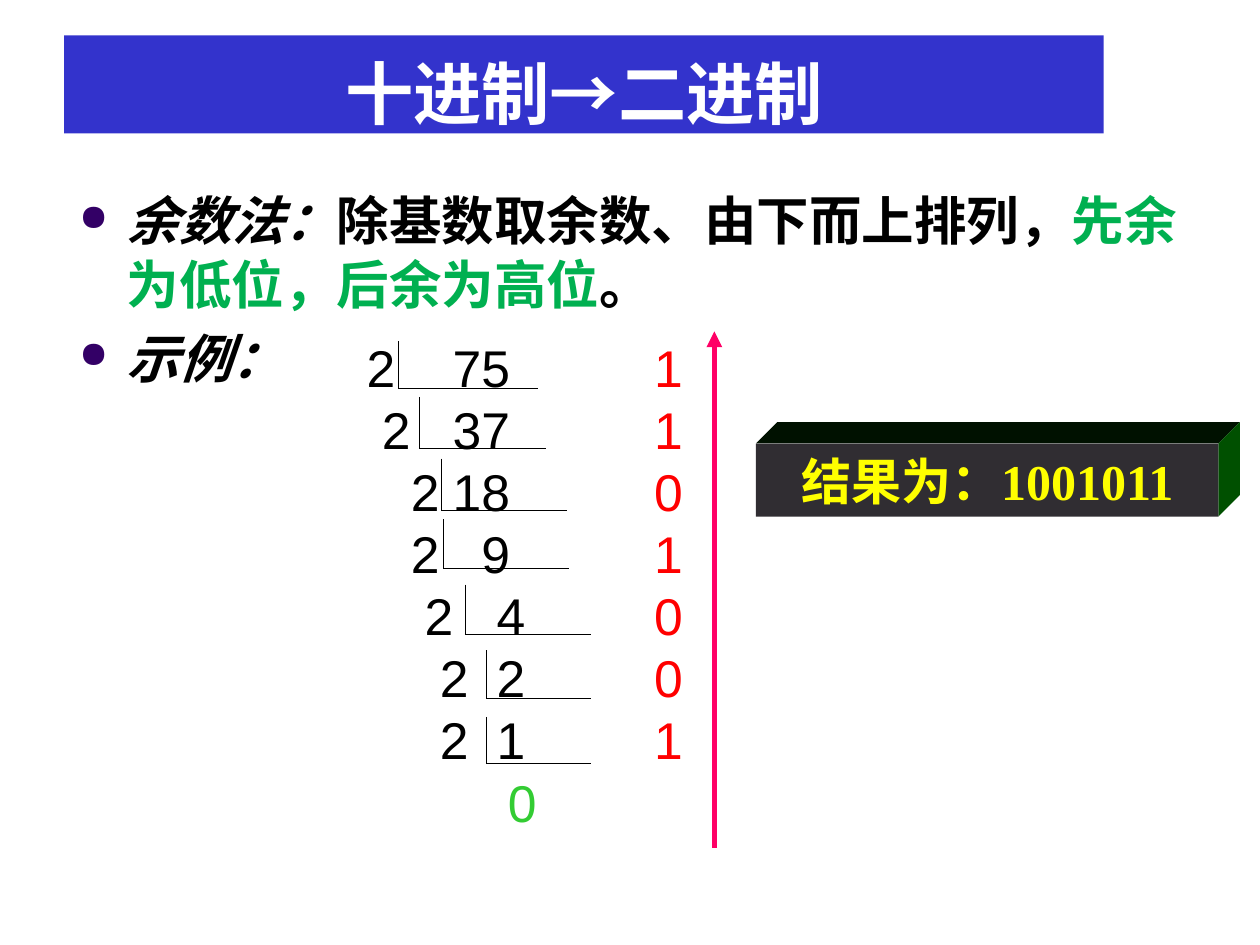
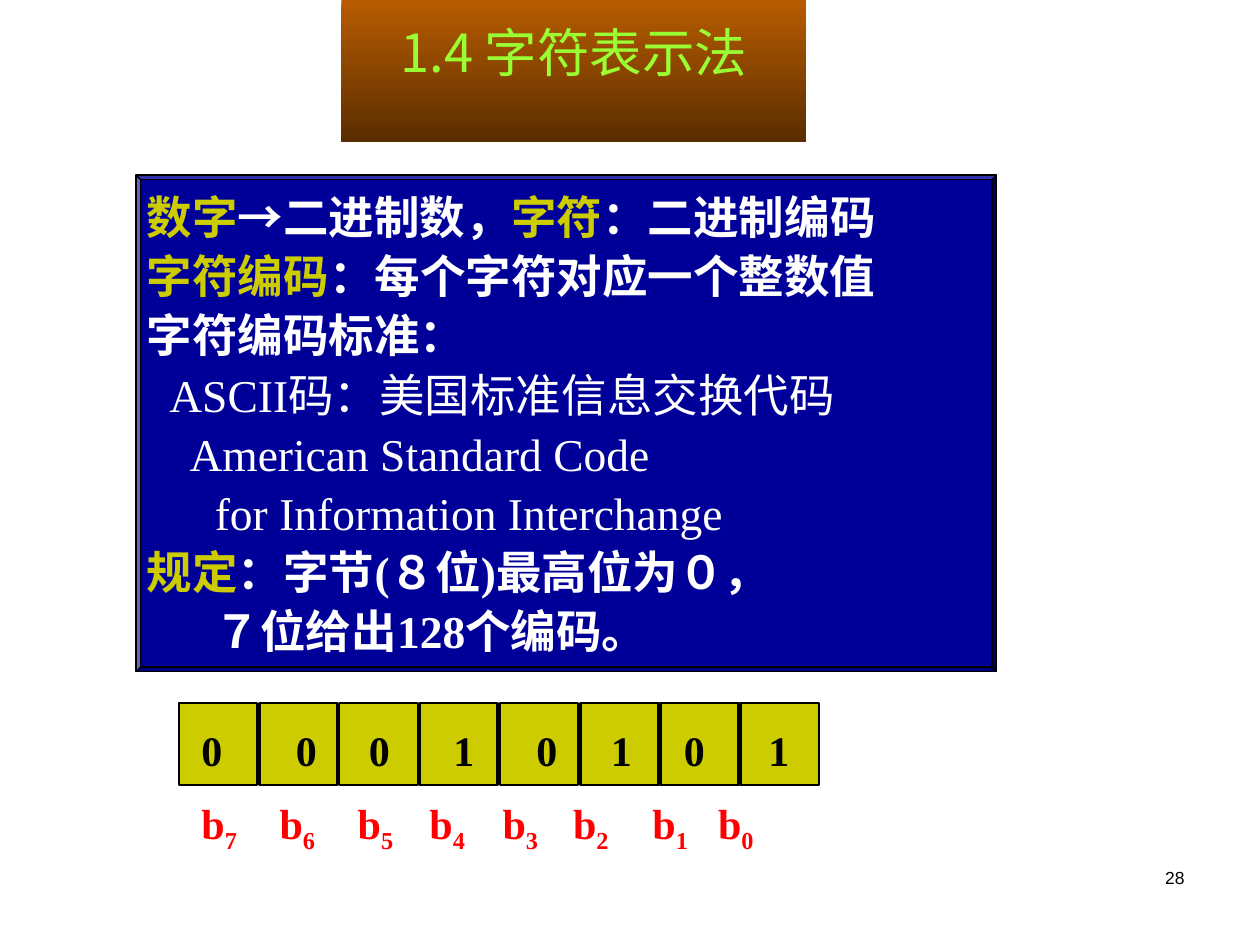
from dataclasses import dataclass

from pptx import Presentation
from pptx.dml.color import RGBColor
from pptx.enum.shapes import MSO_CONNECTOR, MSO_SHAPE
from pptx.enum.text import MSO_ANCHOR, PP_ALIGN
from pptx.oxml.ns import qn
from pptx.util import Inches, Pt
from lxml import etree

LEFT, CENTER, RIGHT = PP_ALIGN.LEFT, PP_ALIGN.CENTER, PP_ALIGN.RIGHT
TOP, MIDDLE, BOTTOM = MSO_ANCHOR.TOP, MSO_ANCHOR.MIDDLE, MSO_ANCHOR.BOTTOM
RECTANGLE, BEVEL = MSO_SHAPE.RECTANGLE, MSO_SHAPE.BEVEL
STRAIGHT = MSO_CONNECTOR.STRAIGHT
TITLE_ONLY = 5


@dataclass(frozen=True)
class Theme:
    black: str = "000000"
    white: str = "FFFFFF"
    red: str = "FF0000"
    green: str = "00B050"
    lime: str = "33CC33"
    yellow: str = "FFFF00"
    gold: str = "CCCC00"
    pink: str = "FF0066"
    bullet: str = "330066"
    band: str = "3333CC"
    panel: str = "000099"
    banner_top: str = "B85C00"
    banner_bottom: str = "5A2D00"
    banner_text: str = "99FF33"
    block_front: str = "302D32"
    block_top: str = "001100"
    block_side: str = "005000"
    sans: str = "Arial"
    serif: str = "Times New Roman"
    chinese: str = "Noto Sans CJK SC"
    title_size: float = 39
    body_size: float = 30
    division_size: float = 29.5
    result_size: float = 28.6
    panel_size: float = 26
    bit_size: float = 24
    number_size: float = 10


THEME = Theme()

METHOD = [
    [("余数法：", {"italic": True}), "除基数取余数、由下而上排列，",
     ("先余为低位，后余为高位", {"color": THEME.green}), "。"],
    [("示例：", {"italic": True})],
]
DIVISIONS = [
    (75, 1, 0.71, 1.62),
    (37, 1, 0.83, 1.62),
    (18, 0, 1.06, 1.62),
    (9, 1, 1.06, 1.62),
    (4, 0, 1.17, 1.74),
    (2, 0, 1.29, 1.74),
    (1, 1, 1.29, 1.74),
]
REMAINDER_TAB, LAST_QUOTIENT_TAB = 2.99, 1.83
BRACKETS = [
    (3.16, 2.71, 3.08, 4.27),
    (3.33, 3.15, 3.56, 4.33),
    (3.5, 3.64, 4.05, 4.5),
    (3.52, 4.12, 4.51, 4.52),
    (3.69, 4.64, 5.03, 4.69),
    (3.86, 5.16, 5.54, 4.69),
    (3.86, 5.69, 6.06, 4.69),
]
GOLD, PLAIN = {"color": THEME.gold}, {"bold": False}
ENCODING = [
    (0, [("数字", GOLD), "→二进制数，", ("字符", GOLD), "：二进制编码"]),
    (0, [("字符编码", GOLD), "：每个字符对应一个整数值"]),
    (0, ["字符编码标准："]),
    (0.18, [("ASCII码：美国标准信息交换代码", PLAIN)]),
    (0.34, [("American Standard Code", PLAIN)]),
    (0.54, [("for Information Interchange", PLAIN)]),
    (0, [("规定", GOLD), "：字节(８位)最高位为０，"]),
    (0.54, ["７位给出128个编码。"]),
]
BITS = "00010101"
BIT_TABS = [0.75, 1.33, 2, 2.66, 3.25, 3.83, 4.5]
LABEL_TABS = [0.62, 1.24, 1.81, 2.39, 2.95, 3.58, 4.1]
THIN_CELL = 2


def rgb(color):
    return RGBColor.from_string(color)


def inches(values):
    return [Inches(value) for value in values]


def add_child(parent, tag, **attributes):
    child = etree.SubElement(parent, qn(tag))
    for name, value in attributes.items():
        child.set(name, str(value))
    return child


def format_run(run, size, font, color, bold=False, italic=False, subscript=False):
    run.font.size = Pt(size)
    run.font.name = font
    run.font.bold = bold
    run.font.italic = italic
    run.font.color.rgb = rgb(color)
    properties = run.font._element
    add_child(properties, "a:ea", typeface=THEME.chinese)
    if subscript:
        properties.set("baseline", "-25000")


def write(shape, paragraphs, align=LEFT, anchor=TOP, insets=(0.1, 0.05, 0.1, 0.05),
          line=None, before=0, bullet=False, tabs=None, indents=None, wrap=True, **run_format):
    frame = shape.text_frame
    frame.word_wrap = wrap
    frame.vertical_anchor = anchor
    frame.margin_left, frame.margin_top, frame.margin_right, frame.margin_bottom = inches(insets)
    for index, runs in enumerate(paragraphs):
        paragraph = frame.paragraphs[0] if index == 0 else frame.add_paragraph()
        properties = paragraph._p.get_or_add_pPr()
        if bullet:
            properties.set("marL", str(Inches(0.38)))
            properties.set("indent", str(-Inches(0.38)))
            add_child(add_child(properties, "a:buClr"), "a:srgbClr", val=THEME.bullet)
            add_child(properties, "a:buSzPct", val=70000)
            add_child(properties, "a:buChar", char="●")
        if indents:
            properties.set("marL", str(Inches(indents[index])))
        if tabs:
            stops = add_child(properties, "a:tabLst")
            for position, side in tabs[index]:
                add_child(stops, "a:tab", pos=Inches(position), algn=side)
        paragraph.alignment = align
        if line:
            paragraph.line_spacing = Pt(line)
        paragraph.space_before = Pt(before if index else 0)
        for item in runs:
            text, changes = (item, {}) if isinstance(item, str) else item
            run = paragraph.add_run()
            run.text = text
            format_run(run, **{**run_format, **changes})
    return shape


def add_text(slide, box, paragraphs, **text_format):
    return write(slide.shapes.add_textbox(*inches(box)), paragraphs, **text_format)


def add_box(slide, box, fill, kind=RECTANGLE, line_width=0):
    shape = slide.shapes.add_shape(kind, *inches(box))
    shape.shadow.inherit = False
    paint(shape, fill)
    if line_width:
        shape.line.color.rgb = rgb(THEME.black)
        shape.line.width = Pt(line_width)
    return shape


def paint(shape, fill):
    shape.fill.solid()
    shape.fill.fore_color.rgb = rgb(fill)
    shape.line.fill.background()


def add_outline(slide, points, fill):
    start, *others = [inches(point) for point in points]
    builder = slide.shapes.build_freeform(*start)
    builder.add_line_segments(others, close=True)
    shape = builder.convert_to_shape()
    shape.shadow.inherit = False
    paint(shape, fill)


def add_line(slide, start, end, color, width, arrow=False):
    connector = slide.shapes.add_connector(STRAIGHT, *inches(start + end))
    connector.line.color.rgb = rgb(color)
    connector.line.width = Pt(width)
    if arrow:
        add_child(connector.line._get_or_add_ln(), "a:tailEnd", type="triangle")
    add_child(connector._element.spPr, "a:effectLst")


def add_titled_slide(presentation, box, text, **text_format):
    slide = presentation.slides.add_slide(presentation.slide_layouts[TITLE_ONLY])
    title = slide.shapes.title
    title.left, title.top, title.width, title.height = inches(box)
    write(title, [[text]], align=CENTER, **text_format)
    return slide


def add_result_block(slide, left, top, width, height, depth):
    right, bottom = left + width, top + height
    back_right, back_top = right + depth, top - depth
    add_outline(slide, [(left, top), (left + depth, back_top), (back_right, back_top),
                        (right, top)], THEME.block_top)
    add_outline(slide, [(right, top), (back_right, back_top), (back_right, bottom - depth),
                        (right, bottom)], THEME.block_side)
    front = add_box(slide, (left, top, width, height), THEME.block_front)
    write(front, [["结果为：1001011"]], align=CENTER, anchor=MIDDLE,
          size=THEME.result_size, font=THEME.serif, color=THEME.yellow, bold=True)


def build_division_slide(presentation):
    slide = add_titled_slide(presentation, (0.51, 0.28, 8.25, 0.78), "十进制→二进制",
                             anchor=BOTTOM, insets=(0.1, 0.05, 0.1, 0), size=THEME.title_size,
                             font=THEME.serif, color=THEME.white, bold=True)
    paint(slide.shapes.title, THEME.band)
    add_text(slide, (0.53, 1.44, 9, 4.78), METHOD, bullet=True, line=36.3, before=6,
             size=THEME.body_size, font=THEME.chinese, color=THEME.black, bold=True)

    rows = [[f"\t2\t{quotient}", (f"\t{remainder}", {"color": THEME.red})]
            for quotient, remainder, _, _ in DIVISIONS]
    tabs = [[(divisor_tab, "r"), (quotient_tab, "r"), (REMAINDER_TAB, "r")]
            for _, _, divisor_tab, quotient_tab in DIVISIONS]
    rows.append([("\t0", {"color": THEME.lime})])
    tabs.append([(LAST_QUOTIENT_TAB, "r")])
    add_text(slide, (2.33, 2.6, 3.19, 4.07), rows, tabs=tabs, anchor=MIDDLE, line=35.5,
             insets=(0.1, 0.05, 0, 0.05), size=THEME.division_size, font=THEME.sans,
             color=THEME.black)
    for left, top, bottom, right in BRACKETS:
        add_line(slide, (left, top), (left, bottom), THEME.black, 0.25)
        add_line(slide, (left, bottom), (right, bottom), THEME.black, 0.25)
    add_line(slide, (5.67, 6.73), (5.67, 2.63), THEME.pink, 3, arrow=True)
    add_result_block(slide, 6, 3.52, 3.67, 0.58, 0.17)


def build_character_slide(presentation):
    slide = add_titled_slide(presentation, (2.71, 0.1, 3.69, 0.69), "1.4 字符表示法",
                             anchor=MIDDLE, insets=(0, 0, 0, 0.08), size=THEME.body_size,
                             font=THEME.chinese, color=THEME.banner_text)
    banner = add_box(slide, (2.71, 0, 3.69, 1.13), THEME.banner_top)
    banner.fill.gradient()
    banner.fill.gradient_angle = 270
    for stop, color in zip(banner.fill.gradient_stops, (THEME.banner_top, THEME.banner_bottom)):
        stop.color.rgb = rgb(color)
    slide.shapes.title._element.addprevious(banner._element)

    panel = add_box(slide, (1.08, 1.39, 6.83, 3.94), THEME.panel, BEVEL, 0.75)
    panel.adjustments[0] = 0.009
    write(panel, [runs for _, runs in ENCODING], indents=[indent for indent, _ in ENCODING],
          insets=(0.05, 0.04, 0, 0.04), line=33.8, size=THEME.panel_size, font=THEME.serif,
          color=THEME.white, bold=True)

    for index in range(len(BITS)):
        add_box(slide, (1.42 + index * 0.637, 5.58, 0.62, 0.65), THEME.gold,
                line_width=0.75 if index == THIN_CELL else 1.5)
    bit_format = {"size": THEME.bit_size, "font": THEME.serif, "bold": True}
    add_text(slide, (1.5, 5.7, 5, 0.5), [["\t".join(BITS)]],
             tabs=[[(tab, "l") for tab in BIT_TABS]], color=THEME.black, **bit_format)
    labels = []
    for position in reversed(range(len(BITS))):
        labels += ["\tb" if labels else "b", (str(position), {"subscript": True})]
    add_text(slide, (1.5, 6.28, 5.02, 0.5), [labels],
             tabs=[[(tab, "l") for tab in LABEL_TABS]], color=THEME.red, **bit_format)
    add_text(slide, (7.17, 6.83, 2.33, 0.5), [["28"]], align=RIGHT,
             size=THEME.number_size, font=THEME.sans, color=THEME.black)


def main():
    presentation = Presentation()
    presentation.slide_width, presentation.slide_height = Inches(10), Inches(7.5)
    build_division_slide(presentation)
    build_character_slide(presentation)
    presentation.save("out.pptx")


if __name__ == "__main__":
    main()
